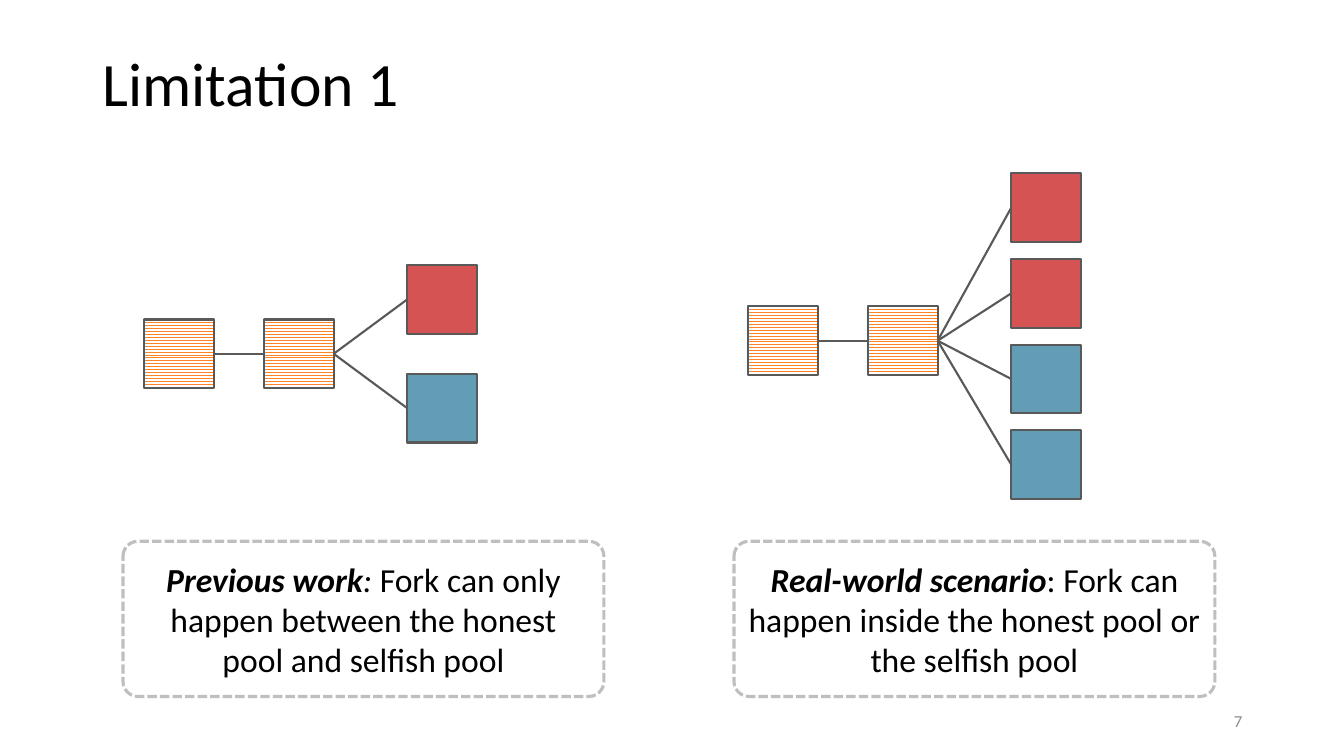
"""Builds the slide comparing fork models in previous work and in the real world."""
from lxml import etree
from pptx import Presentation
from pptx.dml.color import RGBColor
from pptx.enum.dml import MSO_LINE, MSO_PATTERN
from pptx.enum.shapes import MSO_CONNECTOR, MSO_SHAPE
from pptx.enum.text import MSO_ANCHOR, PP_ALIGN
from pptx.oxml.ns import qn
from pptx.util import Inches, Pt

RECTANGLE, ROUNDED = MSO_SHAPE.RECTANGLE, MSO_SHAPE.ROUNDED_RECTANGLE
STRAIGHT = MSO_CONNECTOR.STRAIGHT
ZIGZAG, DASH = MSO_PATTERN.ZIG_ZAG, MSO_LINE.SQUARE_DOT
MIDDLE = MSO_ANCHOR.MIDDLE
LEFT, CENTER, RIGHT = PP_ALIGN.LEFT, PP_ALIGN.CENTER, PP_ALIGN.RIGHT
LEFT_SIDE, RIGHT_SIDE = 1, 3

COLORS = {
    "text": "000000",
    "number": "8C8C8C",
    "outline": "595959",
    "frame": "BFBFBF",
    "common": "FF8427",
    "paper": "FFFFFF",
    "selfish": "D55352",
    "honest": "629CB5",
}
COLORS = {part: RGBColor.from_string(value) for part, value in COLORS.items()}
BLOCK_WIDTH, BLOCK_HEIGHT = 0.69, 0.68

prs = Presentation()
prs.slide_width, prs.slide_height = Inches(13.33), Inches(7.5)
slide = prs.slides.add_slide(prs.slide_layouts[6])


def add_block(left, middle, owner):
    block = slide.shapes.add_shape(
        RECTANGLE, Inches(left), Inches(middle - BLOCK_HEIGHT / 2),
        Inches(BLOCK_WIDTH), Inches(BLOCK_HEIGHT))
    block.shadow.inherit = False
    if owner == "common":
        block.fill.patterned()
        block.fill.pattern = ZIGZAG
        block.fill.fore_color.rgb = COLORS["common"]
        block.fill.back_color.rgb = COLORS["paper"]
    else:
        block.fill.solid()
        block.fill.fore_color.rgb = COLORS[owner]
    block.line.color.rgb = COLORS["outline"]
    block.line.width = Pt(1.5)
    return block


def add_link(parent, child):
    link = slide.shapes.add_connector(STRAIGHT, 0, 0, 0, 0)
    link.begin_connect(parent, RIGHT_SIDE)
    link.end_connect(child, LEFT_SIDE)
    link.line.color.rgb = COLORS["outline"]
    link.line.width = Pt(1.5)
    etree.SubElement(link._element.spPr, qn("a:effectLst"))


labels = [
    ("Limitation 1", 0.92, 0.4, 11.5, 0.92, 44, "text", LEFT),
    ("7", 9.42, 6.95, 3, 0.4, 12, "number", RIGHT),
]
for wording, left, top, width, height, size, color, align in labels:
    label = slide.shapes.add_textbox(
        Inches(left), Inches(top), Inches(width), Inches(height))
    label.text_frame.word_wrap = True
    label.text_frame.vertical_anchor = MIDDLE
    label.text_frame.text = wording
    paragraph = label.text_frame.paragraphs[0]
    paragraph.alignment = align
    paragraph.line_spacing = 0.9 if color == "text" else 1.0
    font = paragraph.runs[0].font
    font.name, font.size = "Calibri", Pt(size)
    font.color.rgb = COLORS[color]

chains = [
    (1.43, 3.51, 2.97, 1.08, ["selfish", "honest"]),
    (7.42, 3.38, 2.06, 0.85, ["selfish", "selfish", "honest", "honest"]),
]
for left, middle, first_fork, step, owners in chains:
    root = add_block(left, middle, "common")
    parent = add_block(left + 1.19, middle, "common")
    add_link(root, parent)
    for index, owner in enumerate(owners):
        fork = add_block(left + 2.61, first_fork + index * step, owner)
        add_link(parent, fork)

captions = [
    (1.22, [("Previous work", True, True), (": ", False, True),
            ("Fork can only happen between the honest pool and selfish pool",
             False, False)]),
    (7.28, [("Real-world scenario", True, True),
            (": Fork can happen inside the honest pool or the selfish pool",
             False, False)]),
]
for left, pieces in captions:
    caption = slide.shapes.add_shape(
        ROUNDED, Inches(left), Inches(5.37), Inches(4.77), Inches(1.54))
    caption.adjustments[0] = 0.097
    caption.shadow.inherit = False
    caption.fill.background()
    caption.line.color.rgb = COLORS["frame"]
    caption.line.width = Pt(2.25)
    caption.line.dash_style = DASH
    caption.text_frame.word_wrap = True
    caption.text_frame.vertical_anchor = MIDDLE
    paragraph = caption.text_frame.paragraphs[0]
    paragraph.alignment = CENTER
    for wording, bold, italic in pieces:
        run = paragraph.add_run()
        run.text = wording
        run.font.name, run.font.size = "Calibri", Pt(24)
        run.font.bold, run.font.italic = bold, italic
        run.font.color.rgb = COLORS["text"]

prs.save("out.pptx")
